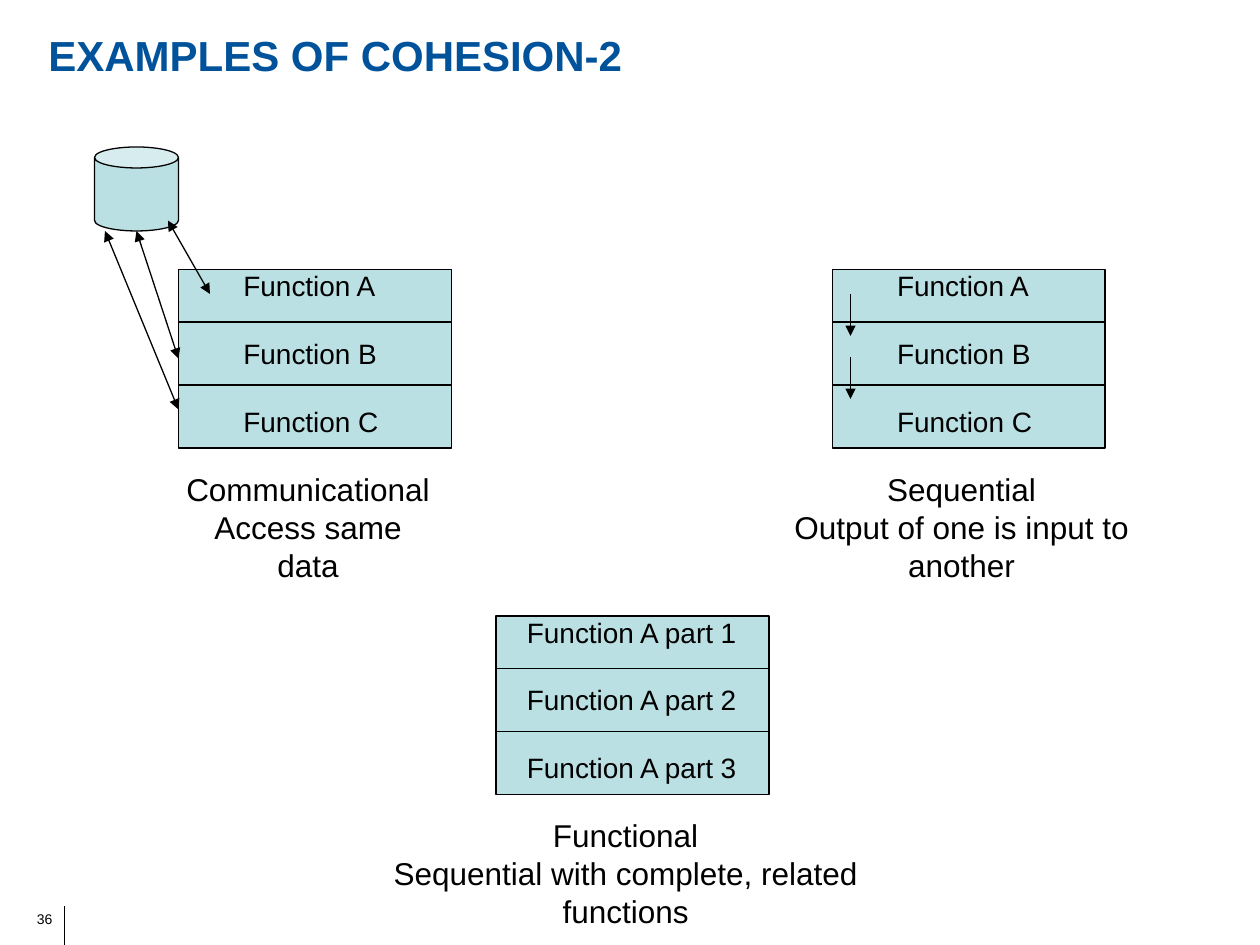
from lxml.etree import SubElement as Sub
from pptx import Presentation
from pptx.dml.color import RGBColor
from pptx.enum.shapes import MSO_CONNECTOR as Conn, MSO_SHAPE as Shape
from pptx.enum.text import MSO_ANCHOR as Anchor, PP_ALIGN as Align
from pptx.oxml.ns import qn
from pptx.util import Pt

INK, BLUE, TEAL = "000000", "00529B", "BBE0E3"
BOX_W, BOX_H = 156, 102
RULES = (30, 66)


def paint(color, code):
    color.rgb = RGBColor.from_string(code)


def style(par, size, code=INK, bold=False, align=Align.LEFT):
    par.alignment = align
    par.font.name = "Arial"
    par.font.size = Pt(size)
    par.font.bold = bold
    paint(par.font.color, code)


def add_text(slide, spot, lines, size, align=Align.LEFT, gap=0):
    frame = slide.shapes.add_textbox(*map(Pt, spot)).text_frame
    frame.word_wrap = False
    frame.text = "\n".join(lines)
    for i, par in enumerate(frame.paragraphs):
        style(par, size, align=align)
        par.space_before = Pt(gap if i else 0)
    return frame


def add_form(slide, kind, spot):
    form = slide.shapes.add_shape(kind, *map(Pt, spot))
    form.shadow.inherit = False
    form.fill.solid()
    paint(form.fill.fore_color, TEAL)
    paint(form.line.color, INK)
    form.line.width = Pt(0.75)
    return form


def add_line(slide, start, end, heads=()):
    link = slide.shapes.add_connector(Conn.STRAIGHT, *map(Pt, (*start, *end)))
    paint(link.line.color, INK)
    link.line.width = Pt(0.75)
    for head in heads:
        Sub(link.line._get_or_add_ln(), qn("a:" + head), type="triangle")
    Sub(link._element.spPr, qn("a:effectLst"))


def add_stack(slide, left, top, labels, inset, note, width):
    add_form(slide, Shape.RECTANGLE, (left, top, BOX_W, BOX_H))
    for drop in RULES:
        add_line(slide, (left, top + drop), (left + BOX_W, top + drop))
    spot = (left + inset, top - 4, BOX_W - 2 * inset, 104)
    add_text(slide, spot, labels, 16, gap=19.5)
    mid = left + BOX_W / 2 - 4
    spot = (mid - width / 2, top + 111, width, 50)
    add_text(slide, spot, note, 18, Align.CENTER)


def add_title(slide, text):
    title = slide.shapes.title
    title.left, title.top, title.width, title.height = map(Pt, (24, 1.5, 672, 59))
    frame = title.text_frame
    frame.text = text
    frame.vertical_anchor = Anchor.MIDDLE
    frame.margin_left = frame.margin_right = Pt(3.6)
    style(frame.paragraphs[0], 24, BLUE, True)


def add_foot(slide):
    add_line(slide, (37, 518), (37, 540))
    frame = add_text(slide, (4, 517, 26, 17), ["36"], 8, Align.RIGHT)
    frame.margin_right = 0
    frame.word_wrap = True


def main():
    deck = Presentation()
    deck.slide_width, deck.slide_height = Pt(720), Pt(540)
    slide = deck.slides.add_slide(deck.slide_layouts[5])
    add_foot(slide)
    add_title(slide, "EXAMPLES OF COHESION-2")

    parts = [f"Function A part {n}" for n in (1, 2, 3)]
    funcs = [f"Function {c}" for c in "ABC"]
    add_stack(slide, 283.5, 352, parts, 10.5,
              ["Functional", "Sequential with complete, related functions"], 356)
    add_stack(slide, 102, 154, funcs, 30,
              ["Communicational", "Access same data"], 161)
    add_stack(slide, 475.5, 154, funcs, 30,
              ["Sequential", "Output of one is input to another"], 271)

    store = add_form(slide, Shape.CAN, (54, 84, 48, 48))
    store.adjustments[0] = 0.25
    for start, end in (((78, 132), (102, 205)), ((96, 126), (120, 168)),
                       ((60, 132), (102, 234))):
        add_line(slide, start, end, ("headEnd", "tailEnd"))
    for top in (168, 204):
        add_line(slide, (486, top), (486, top + 24), ("tailEnd",))

    deck.save("out.pptx")


if __name__ == "__main__":
    main()
